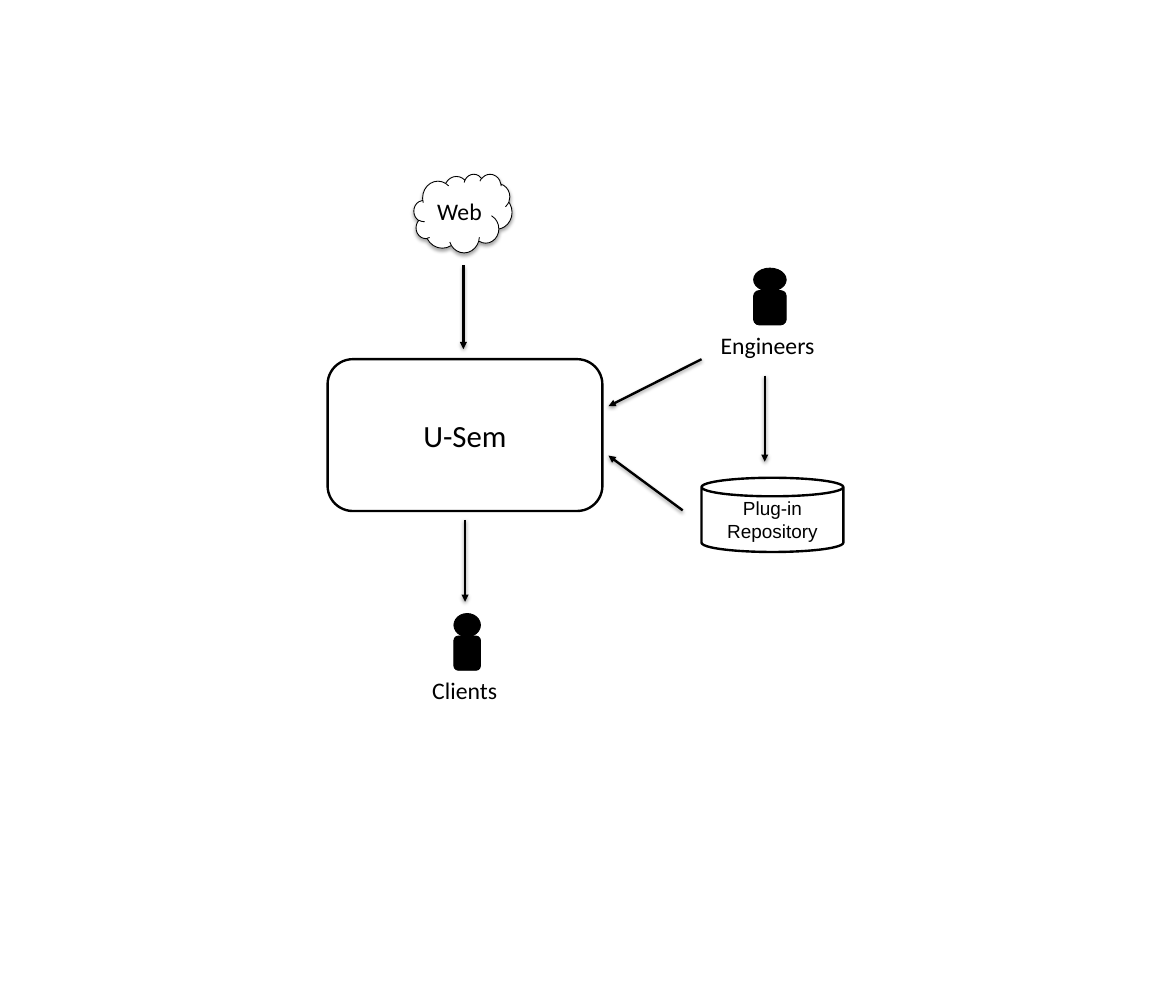
import pptx
import pptx.dml.color
import pptx.enum.shapes
import pptx.enum.text
import pptx.oxml
import pptx.oxml.ns
import pptx.util

Cm, Pt = pptx.util.Cm, pptx.util.Pt
SHAPE = pptx.enum.shapes.MSO_SHAPE
ANCHOR = pptx.enum.text.MSO_ANCHOR
BLACK = pptx.dml.color.RGBColor(0x00, 0x00, 0x00)
WHITE = pptx.dml.color.RGBColor(0xFF, 0xFF, 0xFF)

# Lengths in cm, text sizes and line widths in points.
# kind, (left, top, width, height), line width, shadow opacity, font, runs
COMPONENTS = [
    (SHAPE.CAN, (20.88, 14.22, 4.22, 2.21), 2, 0, "Arial",
     [("Plug-in", 16), (" ", 14), ("Repository", 16)]),
    (SHAPE.CLOUD, (12.32, 5.18, 2.92, 2.34), 0.75, 35, "Calibri", [("Web", 20)]),
    (SHAPE.FLOWCHART_ALTERNATE_PROCESS, (9.75, 10.69, 8.18, 4.52), 2, 0, "Calibri",
     [("U-Sem", 26)]),
]
# name, (left, top, width) of the head, (left, width) of the label
PEOPLE = [
    ("Engineers", (22.43, 7.98, 0.97), (20.8, 4.09)),
    ("Clients", (13.51, 18.26, 0.79), (12.19, 3.28)),
]
HEAD_HEIGHT, BODY_HEIGHT = 0.69, 1.02
BODY_OFFSET, LABEL_OFFSET, LABEL_HEIGHT = 0.67, 1.74, 1.12
# start x, start y, end x, end y
FLOWS = {
    "web to system": (13.79, 7.9, 13.79, 10.39),
    "engineers to system": (20.88, 10.69, 18.11, 12.09),
    "engineers to repository": (22.76, 11.18, 22.76, 13.74),
    "repository to system": (20.32, 15.19, 18.11, 13.56),
    "system to clients": (13.84, 15.47, 13.84, 17.91),
}
FLOW_SHADOW = 38


def add_shadow(shape, opacity):
    """Give the shape a soft shadow straight below it."""
    effects = pptx.oxml.parse_xml(
        f'<a:effectLst {pptx.oxml.ns.nsdecls("a")}>'
        '<a:outerShdw blurRad="40000" dist="22000" dir="5400000" rotWithShape="0">'
        f'<a:srgbClr val="{BLACK}"><a:alpha val="{opacity * 1000}"/></a:srgbClr>'
        '</a:outerShdw></a:effectLst>')
    shape._element.spPr.append(effects)


def add_outlined(shapes, kind, box, fill, line_width, shadow=0):
    shape = shapes.add_shape(kind, *map(Cm, box))
    shape.fill.solid()
    shape.fill.fore_color.rgb = fill
    shape.line.color.rgb = BLACK
    shape.line.width = Pt(line_width)
    if shadow:
        add_shadow(shape, shadow)
    else:
        shape.shadow.inherit = False
    return shape


def write(shape, font, runs, anchor):
    frame = shape.text_frame
    frame.word_wrap = True
    frame.vertical_anchor = anchor
    paragraph = frame.paragraphs[0]
    paragraph.alignment = pptx.enum.text.PP_ALIGN.CENTER
    for text, size in runs:
        run = paragraph.add_run()
        run.text = text
        run.font.name = font
        run.font.size = Pt(size)
        run.font.color.rgb = BLACK


def add_person(slide, name, head, label):
    left, top, width = head
    label_left, label_width = label
    person = slide.shapes.add_group_shape().shapes
    add_outlined(person, SHAPE.OVAL, (left, top, width, HEAD_HEIGHT), BLACK, 0.75)
    add_outlined(person, SHAPE.ROUNDED_RECTANGLE,
                 (left, top + BODY_OFFSET, width, BODY_HEIGHT), BLACK, 0.75)
    caption = person.add_textbox(Cm(label_left), Cm(top + LABEL_OFFSET),
                                 Cm(label_width), Cm(LABEL_HEIGHT))
    write(caption, "Calibri", [(name, 20)], ANCHOR.TOP)


def add_flow(slide, ends):
    flow = slide.shapes.add_connector(
        pptx.enum.shapes.MSO_CONNECTOR.STRAIGHT, *map(Cm, ends))
    flow.line.color.rgb = BLACK
    flow.line.width = Pt(2)
    flow.line._get_or_add_ln().append(pptx.oxml.parse_xml(
        f'<a:tailEnd {pptx.oxml.ns.nsdecls("a")} type="triangle"/>'))
    add_shadow(flow, FLOW_SHADOW)


def main():
    deck = pptx.Presentation()
    deck.slide_width, deck.slide_height = Cm(35), Cm(30)
    slide = deck.slides.add_slide(deck.slide_layouts[6])
    for kind, box, line_width, shadow, font, runs in COMPONENTS:
        component = add_outlined(slide.shapes, kind, box, WHITE, line_width, shadow)
        write(component, font, runs, ANCHOR.MIDDLE)
    for person in PEOPLE:
        add_person(slide, *person)
    for ends in FLOWS.values():
        add_flow(slide, ends)
    deck.save("out.pptx")


if __name__ == "__main__":
    main()
